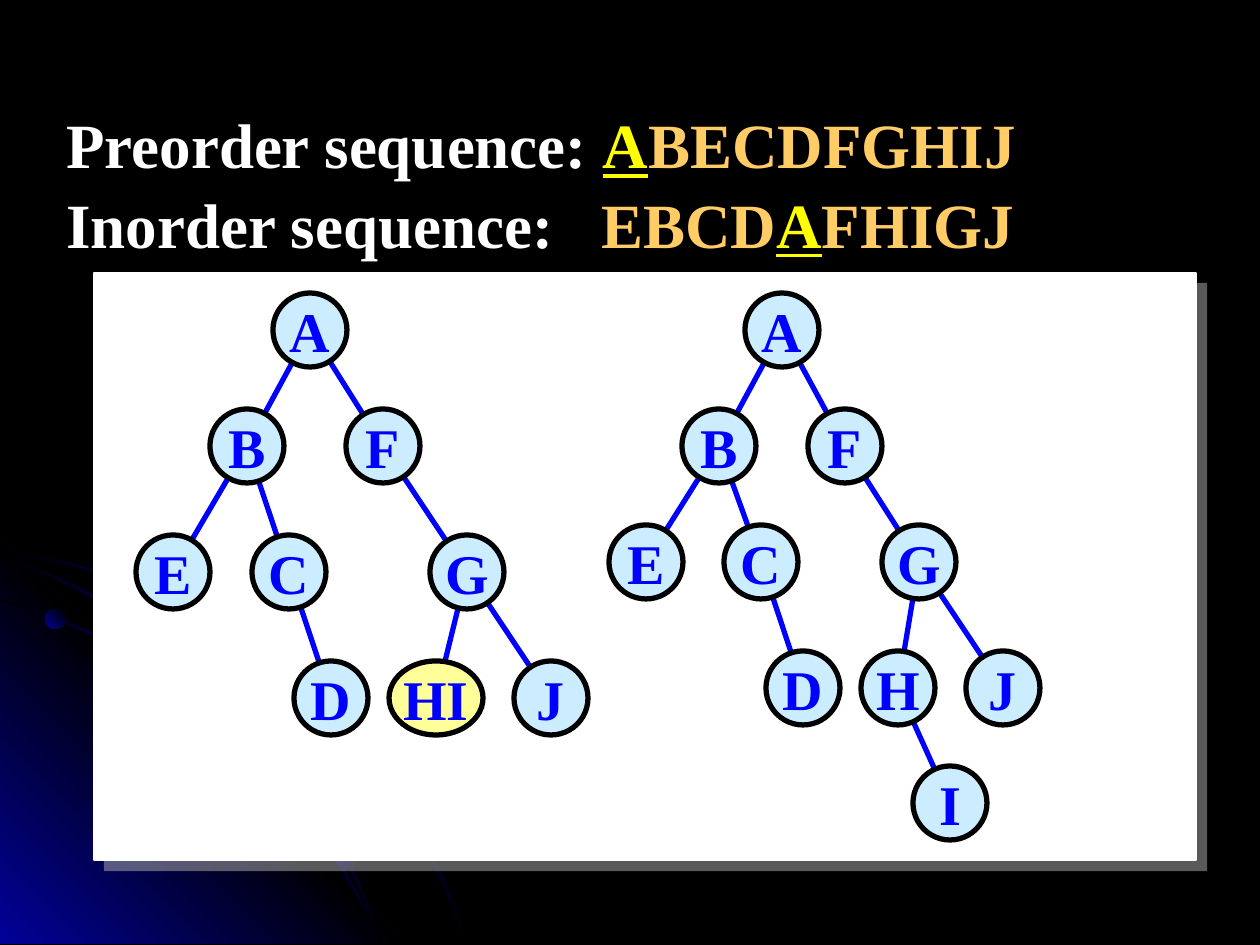
from dataclasses import dataclass
from math import hypot

from lxml.etree import SubElement
from pptx import Presentation
from pptx.dml.color import RGBColor
from pptx.enum.shapes import MSO_CONNECTOR, MSO_SHAPE
from pptx.enum.text import MSO_ANCHOR, MSO_AUTO_SIZE, PP_ALIGN
from pptx.oxml.ns import qn
from pptx.util import Emu, Pt

WIDE, HIGH = 1260, 945
SIZE = 74
RADIUS = SIZE // 2
FONT = "Times New Roman"
COLORS = {
    "black": "000000", "navy": "010199", "white": "FFFFFF", "blue": "0000FF",
    "pale": "CCECFF", "cream": "FFFF99", "gray": "B2B2B2",
    "yellow": "FFFF00", "gold": "FFCC66",
}


@dataclass
class Node:
    label: str
    x: int
    y: int
    parent: str = ""
    width: int = SIZE
    fill: str = "pale"


@dataclass
class Part:
    text: str
    color: str
    under: bool = False


LEFT = [
    Node("A", 310, 330), Node("B", 247, 446, "A"), Node("F", 383, 446, "A"),
    Node("E", 173, 572, "B"), Node("C", 289, 572, "B"), Node("G", 467, 572, "F"),
    Node("D", 331, 698, "C"), Node("HI", 436, 698, "G", 94, "cream"),
    Node("J", 551, 698, "G"),
]
RIGHT = [
    Node("A", 782, 330), Node("B", 719, 446, "A"), Node("F", 845, 446, "A"),
    Node("E", 646, 562, "B"), Node("C", 761, 562, "B"), Node("G", 919, 562, "F"),
    Node("D", 803, 688, "C"), Node("H", 898, 688, "G"), Node("J", 1003, 688, "G"),
    Node("I", 950, 803, "H"),
]
LINES = [
    [Part("Preorder sequence: ", "white"), Part("A", "yellow", True),
     Part("BECDFGHIJ", "gold")],
    [Part("Inorder sequence:\t", "white"), Part("EBCD", "gold"),
     Part("A", "yellow", True), Part("FHIGJ", "gold")],
]
# Upper edge of each curved streak in the corner
OUTER = [(0, 548), (35, 556), (72, 563), (123, 578), (171, 601), (219, 626),
         (263, 656), (305, 690), (343, 728), (378, 770), (410, 816),
         (427, 848), (444, 879), (456, 911), (469, 944)]
INNER = [(0, 599), (52, 615), (100, 636), (147, 663), (192, 692), (232, 726),
         (271, 764), (305, 806), (335, 852), (360, 897), (373, 920), (382, 944)]
MIDDLE = [(0, 557), (49, 573), (96, 596), (140, 621), (182, 650), (220, 684),
          (257, 722), (289, 760), (320, 805), (339, 838), (355, 873),
          (370, 907), (382, 944)]


def px(n: float) -> Emu:
    return Emu(round(n * 914400 / 126))


def color(name: str) -> RGBColor:
    return RGBColor.from_string(COLORS[name])


def blend(shape, names: list[str], angle: int) -> None:
    """Fill with evenly spaced colours, the angle counted clockwise."""
    shape.shadow.inherit = False
    shape.line.fill.background()
    shape.fill.gradient()
    shape.fill.gradient_angle = 360 - angle
    stops = shape._element.spPr.find(qn("a:gradFill")).find(qn("a:gsLst"))
    for stop in list(stops):
        stops.remove(stop)
    for i, name in enumerate(names):
        stop = SubElement(stops, qn("a:gs"), pos=str(100000 * i // (len(names) - 1)))
        SubElement(stop, qn("a:srgbClr"), val=COLORS[name])


def outline(slide, points: list[tuple[int, int]]):
    first, *rest = [(px(x), px(y)) for x, y in points]
    build = slide.shapes.build_freeform(*first)
    build.add_line_segments(rest, close=True)
    return build.convert_to_shape()


def streak(slide, edge: list[tuple[int, int]]) -> None:
    lower = [(max(x - 2, 0), min(y + 2, HIGH)) for x, y in reversed(edge)]
    blend(outline(slide, edge + lower), ["black", "navy", "black"], 45)


def dot(slide, x: int, y: int, angle: int) -> None:
    shape = slide.shapes.add_shape(MSO_SHAPE.OVAL, px(x), px(y), px(20), px(20))
    blend(shape, ["navy", "black"], angle)


def panel(slide) -> None:
    shape = slide.shapes.add_shape(
        MSO_SHAPE.RECTANGLE, px(94), px(273), px(1102), px(587))
    shape.fill.solid()
    shape.fill.fore_color.rgb = color("white")
    shape.line.color.rgb = color("white")
    shape.line.width = Pt(0.75)
    shape.shadow.inherit = False
    effects = shape._element.spPr.find(qn("a:effectLst"))
    shade = SubElement(effects, qn("a:outerShdw"), dist=str(Pt(8.5)),
                       dir="2700000", algn="ctr", rotWithShape="0")
    tint = SubElement(shade, qn("a:srgbClr"), val=COLORS["gray"])
    SubElement(tint, qn("a:alpha"), val="50000")


def edge(slide, top: Node, low: Node) -> None:
    """Draw a branch from rim to rim along the line between two centres."""
    dx, dy = low.x - top.x, low.y - top.y
    part = (RADIUS - 1) / hypot(dx, dy)
    line = slide.shapes.add_connector(
        MSO_CONNECTOR.STRAIGHT,
        px(top.x + dx * part), px(top.y + dy * part),
        px(low.x - dx * part), px(low.y - dy * part))
    line.line.color.rgb = color("blue")
    line.line.width = Pt(3)
    SubElement(line._element.spPr, qn("a:effectLst"))


def circle(slide, node: Node) -> None:
    shape = slide.shapes.add_shape(
        MSO_SHAPE.OVAL, px(node.x - node.width / 2), px(node.y - RADIUS),
        px(node.width), px(SIZE))
    shape.shadow.inherit = False
    shape.fill.solid()
    shape.fill.fore_color.rgb = color(node.fill)
    shape.line.color.rgb = color("black")
    shape.line.width = Pt(3)
    frame = shape.text_frame
    frame.word_wrap = False
    frame.vertical_anchor = MSO_ANCHOR.MIDDLE
    para = frame.paragraphs[0]
    para.text = node.label
    para.alignment = PP_ALIGN.CENTER
    para.font.name, para.font.size, para.font.bold = FONT, Pt(32), True
    para.font.color.rgb = color("blue")


def tree(slide, nodes: list[Node]) -> None:
    known = {node.label: node for node in nodes}
    for node in nodes:
        if node.parent:
            edge(slide, known[node.parent], node)
    for node in nodes:
        circle(slide, node)


def heading(slide) -> None:
    frame = slide.shapes.add_textbox(px(54), px(96), px(978), px(164)).text_frame
    frame.word_wrap = False
    frame.auto_size = MSO_AUTO_SIZE.SHAPE_TO_FIT_TEXT
    for i, parts in enumerate(LINES):
        para = frame.add_paragraph() if i else frame.paragraphs[0]
        para.line_spacing = 1.05
        tabs = SubElement(para._p.get_or_add_pPr(), qn("a:tabLst"))
        SubElement(tabs, qn("a:tab"), pos=str(px(535)), algn="l")
        para.font.name, para.font.size, para.font.bold = FONT, Pt(36), True
        for part in parts:
            run = para.add_run()
            run.text = part.text
            run.font.color.rgb = color(part.color)
            if part.under:
                run.font.underline = True


def main() -> None:
    deck = Presentation()
    deck.slide_width, deck.slide_height = px(WIDE), px(HIGH)
    slide = deck.slides.add_slide(deck.slide_layouts[6])
    slide.background.fill.solid()
    slide.background.fill.fore_color.rgb = color("black")
    streak(slide, OUTER)
    corner = outline(slide, [(0, 538), (406, 944), (0, 944)])
    blend(corner, ["navy", "black", "navy"], 315)
    streak(slide, INNER)
    streak(slide, MIDDLE)
    dot(slide, 45, 609, 315)
    dot(slide, 336, 849, 45)
    panel(slide)
    tree(slide, LEFT)
    tree(slide, RIGHT)
    heading(slide)
    deck.save("out.pptx")


if __name__ == "__main__":
    main()
